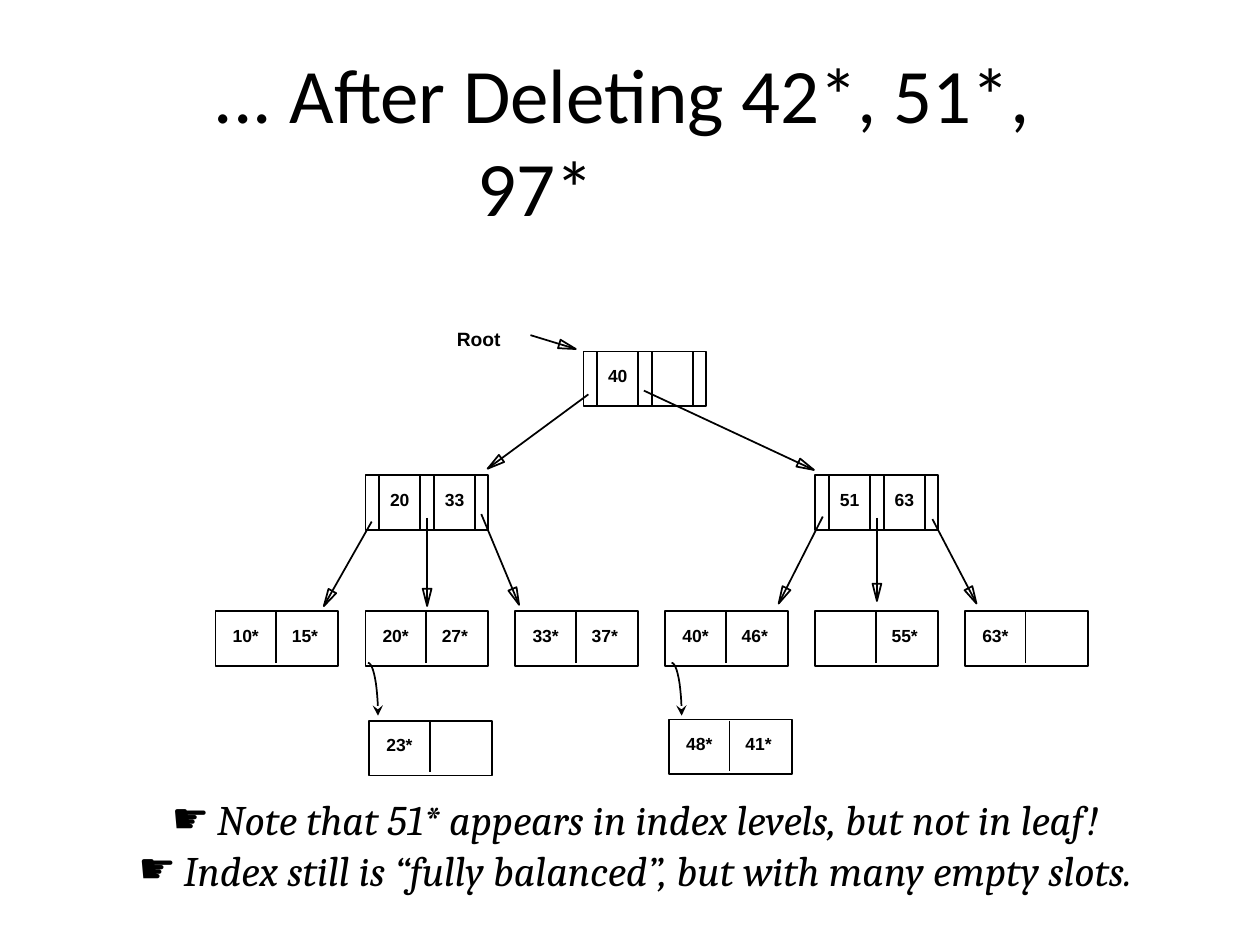
from math import cos, hypot, pi, sin

from lxml.etree import SubElement
from pptx import Presentation
from pptx.dml.color import RGBColor
from pptx.enum.shapes import MSO_CONNECTOR, MSO_SHAPE
from pptx.enum.text import MSO_ANCHOR, MSO_AUTO_SIZE, PP_ALIGN
from pptx.oxml.ns import qn
from pptx.util import Inches, Pt

COLORS = {"ink": "000000"}
FONTS = {"title": "Calibri", "notes": "Cambria", "keys": "Arial"}
COLUMNS, ROWS = 100, 75

NODE_WIDTH, NODE_HEIGHT = 9.75, 4.35
POINTER, KEY = 1.1, 3.25  # widths of the slots in an index node
LEAF_DIVIDER = 4.8
LEAF_LEFT, LEAF_PITCH, LEAF_TOP = 17.1, 11.9, 48.5

LEAVES = [("10*", "15*"), ("20*", "27*"), ("33*", "37*"),
          ("40*", "46*"), ("", "55*"), ("63*", "")]
OVERFLOW_PAGES = [(29.3, 57.2, ("23*", "")), (53.1, 57.1, ("48*", "41*"))]
INDEX_NODES = [(46.3, 27.9, ("40", "")), (29, 37.7, ("20", "33")),
               (64.7, 37.7, ("51", "63"))]
EDGES = [
    ((42.1, 26.6), (45.7, 27.7)),
    ((46.7, 31.3), (38.7, 37.2)), ((51.1, 31), (64.6, 37.3)),
    ((29.5, 41.4), (25.7, 48.1)), ((33.9, 41.1), (33.9, 48.1)),
    ((38.2, 40.8), (41.2, 48)),
    ((65.3, 41), (61.8, 47.9)), ((69.6, 41.1), (69.6, 47.7)),
    ((74, 41.2), (77.5, 47.9)),
]
OVERFLOW_LINKS = [(29.2, 52.6), (53.3, 52.6)]
NOTES = ["Note that 51* appears in index levels, but not in leaf!",
         "Index still is “fully balanced”, but with many empty slots."]


class TreeSlide:
    """Draws on one slide; lengths are columns and rows of a 100 by 75 grid."""

    def __init__(self, deck):
        self.slide = deck.slides.add_slide(deck.slide_layouts[1])
        self.column = deck.slide_width / COLUMNS
        self.row = deck.slide_height / ROWS
        self.ink = RGBColor.from_string(COLORS["ink"])

    def at(self, col, row):
        return round(col * self.column), round(row * self.row)

    def place(self, shape, col, row, width, height):
        shape.left, shape.top = self.at(col, row)
        shape.width, shape.height = self.at(width, height)

    def format(self, paragraph, font, size, bold=False, italic=False):
        paragraph.alignment = PP_ALIGN.CENTER
        paragraph.font.name = FONTS[font]
        paragraph.font.size = Pt(size)
        paragraph.font.bold = bold
        paragraph.font.italic = italic
        paragraph.font.color.rgb = self.ink

    def outline(self, shape):
        shape.shadow.inherit = False
        shape.fill.background()
        shape.line.color.rgb = self.ink
        shape.line.width = Pt(1)

    def title(self, text):
        title = self.slide.shapes.title
        self.place(title, 0, 5, 85, 12.1)
        frame = title.text_frame
        frame.auto_size = MSO_AUTO_SIZE.NONE
        frame.vertical_anchor = MSO_ANCHOR.MIDDLE
        frame.text = text
        paragraph = frame.paragraphs[0]
        paragraph._p.get_or_add_pPr().set("indent", str(Inches(1.38)))
        self.format(paragraph, "title", 44)

    def notes(self, lines):
        body = self.slide.placeholders[1]
        self.place(body, 3.8, 62.5, 93.2, 9)
        frame = body.text_frame
        frame.auto_size = MSO_AUTO_SIZE.NONE
        frame.text = "\n".join(lines)
        for paragraph in frame.paragraphs:
            properties = paragraph._p.get_or_add_pPr()
            properties.set("marL", str(Inches(0.36)))
            properties.set("indent", str(Inches(-0.36)))
            bullet_color = SubElement(properties, qn("a:buClr"))
            SubElement(bullet_color, qn("a:srgbClr"), val=COLORS["ink"])
            SubElement(properties, qn("a:buChar"), char="☛")
            paragraph.space_before = Pt(0)
            self.format(paragraph, "notes", 24, italic=True)

    def label(self, text, center, top, width=4.1, height=2.6, size=10):
        box = self.slide.shapes.add_textbox(
            *self.at(center - width / 2, top), *self.at(width, height))
        box.text_frame.word_wrap = False
        box.text_frame.text = text
        self.format(box.text_frame.paragraphs[0], "keys", size, bold=True)

    def line(self, start, end):
        line = self.slide.shapes.add_connector(
            MSO_CONNECTOR.STRAIGHT, *self.at(*start), *self.at(*end))
        line.line.color.rgb = self.ink
        line.line.width = Pt(1)
        SubElement(line._element.spPr, qn("a:effectLst"))

    def polyline(self, points, close):
        first, *rest = [self.at(*point) for point in points]
        builder = self.slide.shapes.build_freeform(*first)
        builder.add_line_segments(rest, close=close)
        shape = builder.convert_to_shape()
        self.outline(shape)
        return shape

    def edge(self, start, end, length=1.37, half_width=0.35):
        """Draw a line that ends in a hollow triangle."""
        self.line(start, end)
        distance = hypot(end[0] - start[0], end[1] - start[1])
        dx, dy = (end[0] - start[0]) / distance, (end[1] - start[1]) / distance
        base_x, base_y = end[0] - length * dx, end[1] - length * dy
        corners = [(base_x - side * dy, base_y + side * dx)
                   for side in (half_width, -half_width)]
        self.polyline([corners[0], end, corners[1]], close=True)

    def overflow_link(self, col, row, width=0.8, height=4.2, steps=12):
        """Draw a quarter of an ellipse with an arrowhead at its lower end."""
        angles = [pi / 2 * step / steps for step in range(steps + 1)]
        curve = self.polyline([(col + width * sin(a), row + height * (1 - cos(a)))
                               for a in angles], close=False)
        SubElement(curve._element.spPr.find(qn("a:ln")), qn("a:tailEnd"),
                   type="stealth")

    def node(self, col, row, dividers, divider_rows, key_centers, keys):
        box = self.slide.shapes.add_shape(
            MSO_SHAPE.RECTANGLE, *self.at(col, row),
            *self.at(NODE_WIDTH, NODE_HEIGHT))
        self.outline(box)
        top, bottom = divider_rows
        for offset in dividers:
            self.line((col + offset, row + top), (col + offset, row + bottom))
        for center, key in zip(key_centers, keys):
            if key:
                self.label(key, col + center, row + 0.6)

    def leaf(self, col, row, keys):
        self.node(col, row, [LEAF_DIVIDER], (0.1, 4.1), (2.4, 7.1), keys)

    def index_node(self, col, row, keys):
        slot = POINTER + KEY
        starts = [POINTER, POINTER + slot]
        dividers = [x for start in starts for x in (start, start + KEY)]
        self.node(col, row, dividers, (0, NODE_HEIGHT),
                  [start + KEY / 2 for start in starts], keys)


def main():
    deck = Presentation()
    deck.slide_width, deck.slide_height = Inches(10), Inches(7.5)
    tree = TreeSlide(deck)
    tree.title("... After Deleting 42*, 51*, 97*")
    tree.notes(NOTES)
    for position, keys in enumerate(LEAVES):
        tree.leaf(LEAF_LEFT + position * LEAF_PITCH, LEAF_TOP, keys)
    for page in OVERFLOW_PAGES:
        tree.leaf(*page)
    for index_node in INDEX_NODES:
        tree.index_node(*index_node)
    for start, end in EDGES:
        tree.edge(start, end)
    for link in OVERFLOW_LINKS:
        tree.overflow_link(*link)
    tree.label("Root", 38, 25.5, width=5.8, height=2.8, size=11)
    deck.save("out.pptx")


if __name__ == "__main__":
    main()
